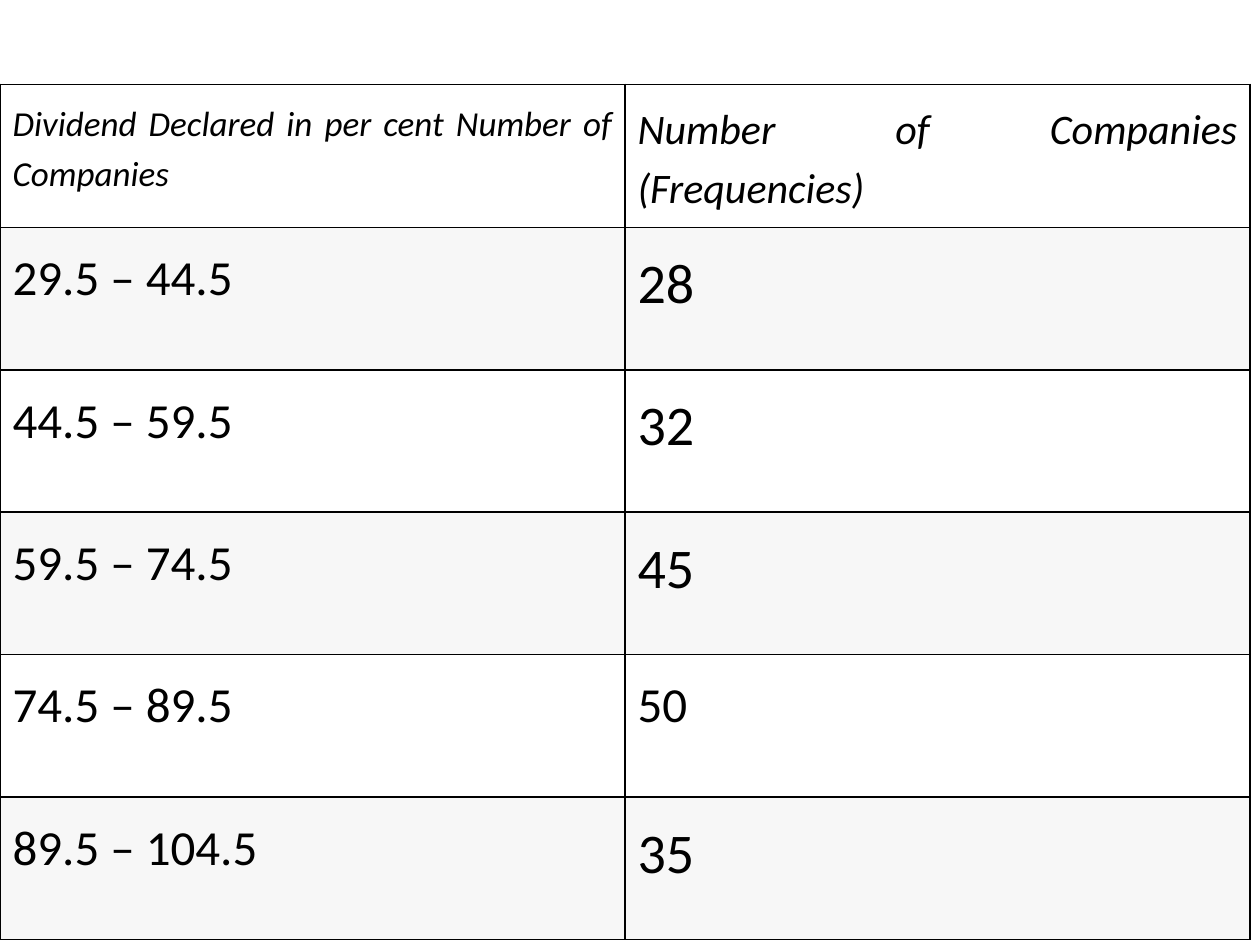
from dataclasses import dataclass

from lxml.etree import SubElement
from pptx import Presentation
from pptx.dml.color import RGBColor
from pptx.enum.text import PP_ALIGN
from pptx.oxml.ns import qn
from pptx.util import Inches, Pt


@dataclass(frozen=True)
class Theme:
    font: str = "Calibri"
    ink: str = "000000"
    plain: str = "FFFFFF"
    band: str = "F7F7F7"
    range_heading: int = 20
    count_heading: int = 24
    body: int = 28
    emphasis: int = 32
    border: float = 1
    leading: float = 1.15
    inset: float = 0.1


THEME = Theme()
HEADINGS = [
    ("Dividend Declared in per cent Number of Companies", THEME.range_heading),
    ("Number of Companies (Frequencies)", THEME.count_heading),
]
FREQUENCIES = [
    ("29.5 – 44.5", "28", THEME.emphasis),
    ("44.5 – 59.5", "32", THEME.emphasis),
    ("59.5 – 74.5", "45", THEME.emphasis),
    ("74.5 – 89.5", "50", THEME.body),
    ("89.5 – 104.5", "35", THEME.emphasis),
]


def add_borders(cell):
    properties = cell._tc.get_or_add_tcPr()
    for position, edge in enumerate(("lnL", "lnR", "lnT", "lnB")):
        line = SubElement(properties, qn(f"a:{edge}"), w=str(Pt(THEME.border)))
        fill = SubElement(line, qn("a:solidFill"))
        SubElement(fill, qn("a:srgbClr"), val=THEME.ink)
        properties.insert(position, line)


def fill_cell(cell, wording, size, background, italic):
    cell.fill.solid()
    cell.fill.fore_color.rgb = RGBColor.from_string(background)
    inset = Inches(THEME.inset)
    cell.margin_left = cell.margin_right = inset
    cell.margin_top = cell.margin_bottom = inset
    add_borders(cell)
    paragraph = cell.text_frame.paragraphs[0]
    paragraph.alignment = PP_ALIGN.JUSTIFY
    paragraph.line_spacing = THEME.leading
    run = paragraph.add_run()
    run.text = wording
    run.font.name = THEME.font
    run.font.size = Pt(size)
    run.font.bold = False
    run.font.italic = italic
    run.font.color.rgb = RGBColor.from_string(THEME.ink)


def add_frequency_table(slide, left, top, width, heading_height, row_height):
    rows = [HEADINGS] + [
        [(dividend, THEME.body), (count, size)]
        for dividend, count, size in FREQUENCIES
    ]
    height = heading_height + row_height * len(FREQUENCIES)
    table = slide.shapes.add_table(
        len(rows), len(HEADINGS), left, top, width, height
    ).table
    table.first_row = False
    table.horz_banding = False
    for column in table.columns:
        column.width = width // len(HEADINGS)
    for index, entries in enumerate(rows):
        table.rows[index].height = row_height if index else heading_height
        background = THEME.band if index % 2 else THEME.plain
        for column, (wording, size) in enumerate(entries):
            fill_cell(
                table.cell(index, column), wording, size, background, index == 0
            )


def main():
    presentation = Presentation()
    presentation.slide_width = Inches(10)
    presentation.slide_height = Inches(7.5)
    slide = presentation.slides.add_slide(presentation.slide_layouts[6])
    add_frequency_table(
        slide, 0, Inches(0.67), Inches(9.92), Inches(1.04), Inches(1.13)
    )
    presentation.save("out.pptx")


if __name__ == "__main__":
    main()
